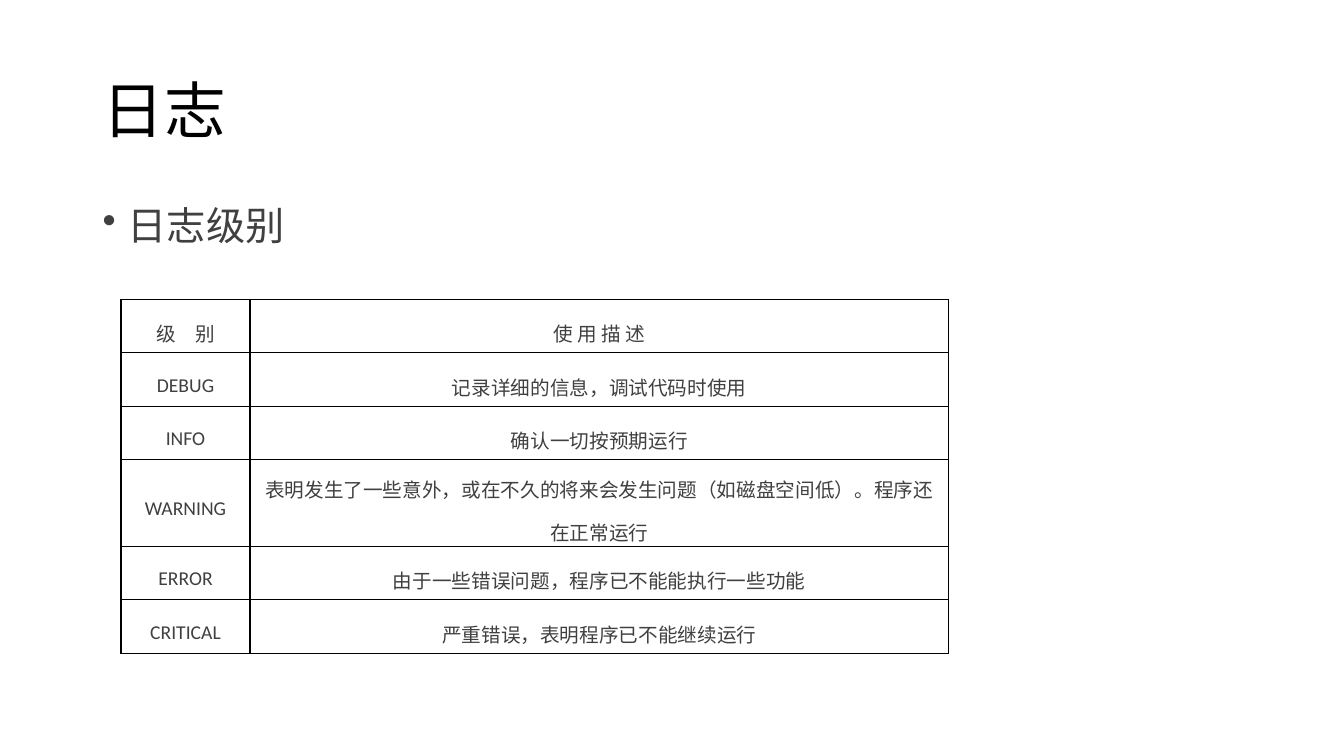
from lxml import etree
from pptx import Presentation
from pptx.dml.color import RGBColor
from pptx.enum.text import MSO_ANCHOR, PP_ALIGN
from pptx.oxml.ns import qn
from pptx.util import Inches, Pt

MIDDLE = MSO_ANCHOR.MIDDLE
CENTER = PP_ALIGN.CENTER
FONT = "Calibri"
COLORS = {"title": "000000", "text": "404040", "border": "000000"}
LEVELS = [
    ("级　别", "使 用 描 述"),
    ("DEBUG", "记录详细的信息，调试代码时使用"),
    ("INFO", "确认一切按预期运行"),
    ("WARNING", "表明发生了一些意外，或在不久的将来会发生问题（如磁盘空间低）。程序还在正常运行"),
    ("ERROR", "由于一些错误问题，程序已不能能执行一些功能"),
    ("CRITICAL", "严重错误，表明程序已不能继续运行"),
]
COLUMN_WIDTHS = [1.28, 6.93]
ROW_HEIGHTS = [0.53, 0.53, 0.53, 0.86, 0.53, 0.53]


def write(frame, text, size, color, line_spacing):
    frame.word_wrap = True
    para = frame.paragraphs[0]
    para.text = text
    para.line_spacing = line_spacing
    font = para.runs[0].font
    font.name = FONT
    font.size = Pt(size)
    font.color.rgb = RGBColor.from_string(COLORS[color])
    return para


def add_borders(cell):
    properties = cell._tc.get_or_add_tcPr()
    for side in ("a:lnL", "a:lnR", "a:lnT", "a:lnB"):
        line = etree.SubElement(properties, qn(side), w=str(Pt(1)))
        fill = etree.SubElement(line, qn("a:solidFill"))
        etree.SubElement(fill, qn("a:srgbClr"), val=COLORS["border"])


deck = Presentation()
deck.slide_width = Inches(13.33)
deck.slide_height = Inches(7.5)
page = deck.slides.add_slide(deck.slide_layouts[6])

title = page.shapes.add_textbox(Inches(0.92), Inches(0.4), Inches(11.5), Inches(1.45))
title.text_frame.vertical_anchor = MIDDLE
write(title.text_frame, "日志", 44, "title", 0.9)

body = page.shapes.add_textbox(Inches(0.92), Inches(2), Inches(11.5), Inches(4.76))
para = write(body.text_frame, "日志级别", 28, "text", 0.9)
bullet_properties = para._p.get_or_add_pPr()
bullet_properties.set("marL", str(Inches(0.25)))
bullet_properties.set("indent", str(Inches(-0.25)))
etree.SubElement(bullet_properties, qn("a:buChar"), char="•")

table = page.shapes.add_table(
    len(LEVELS), len(COLUMN_WIDTHS), Inches(1.2), Inches(2.97),
    Inches(sum(COLUMN_WIDTHS)), Inches(sum(ROW_HEIGHTS)),
).table
table.first_row = False
table.horz_banding = False
for column, width in zip(table.columns, COLUMN_WIDTHS):
    column.width = Inches(width)
for row, height, texts in zip(table.rows, ROW_HEIGHTS, LEVELS):
    row.height = Inches(height)
    for cell, text in zip(row.cells, texts):
        cell.vertical_anchor = MIDDLE
        cell.margin_left = cell.margin_right = Inches(0.07)
        cell.margin_top = cell.margin_bottom = 0
        write(cell.text_frame, text, 14, "text", 1.5).alignment = CENTER
        add_borders(cell)
        cell.fill.background()

deck.save("out.pptx")
